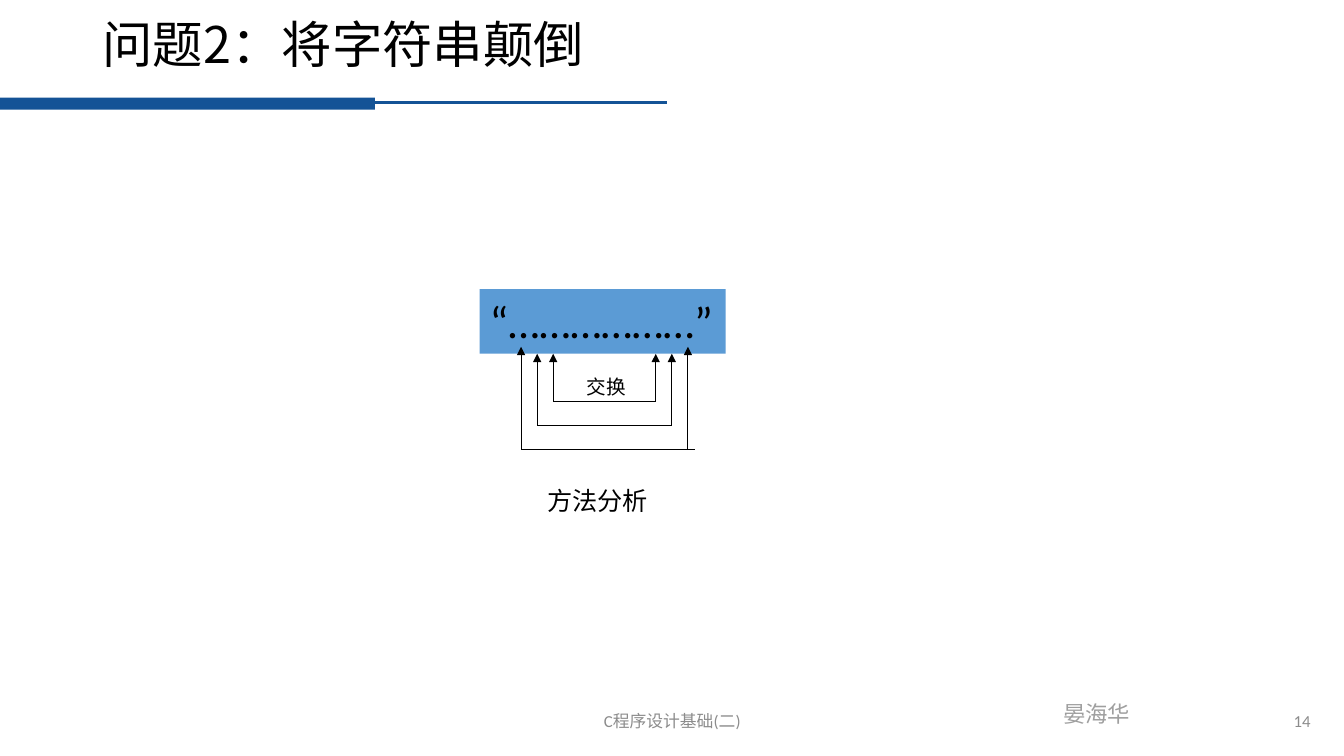
from pptx import Presentation
from pptx.dml.color import RGBColor
from pptx.enum.shapes import MSO_CONNECTOR, MSO_SHAPE
from pptx.enum.text import MSO_ANCHOR, PP_ALIGN
from pptx.oxml.ns import qn
from pptx.util import Pt
from lxml import etree

BLACK = RGBColor(0x00, 0x00, 0x00)
NAVY = RGBColor(0x14, 0x53, 0x96)
SKY = RGBColor(0x5B, 0x9B, 0xD5)
GRAY = RGBColor(0x8C, 0x8C, 0x8C)
LIGHT_GRAY = RGBColor(0x9F, 0x9F, 0x9F)
LEFT, CENTER, RIGHT = PP_ALIGN.LEFT, PP_ALIGN.CENTER, PP_ALIGN.RIGHT
TOP, MIDDLE = MSO_ANCHOR.TOP, MSO_ANCHOR.MIDDLE
RECTANGLE, STRAIGHT = MSO_SHAPE.RECTANGLE, MSO_CONNECTOR.STRAIGHT

# Content: text, box (left, top, width, height), size, colour, alignment, anchor, wrap
TITLE = ("问题2：将字符串颠倒", (66.2, 12.2, 828, 43.2), 36, BLACK, LEFT, MIDDLE, True)
STRING = ("“………………”", (342.7, 206.6, 175.7, 46.1), 32, BLACK, LEFT, TOP, False)
LABELS = [
    ("晏海华", (752.4, 496.8, 63.4, 26.6), 16, LIGHT_GRAY, LEFT, TOP, False),
    ("C程序设计基础(二)", (318.2, 500.4, 324, 28.8), 12, GRAY, CENTER, MIDDLE, True),
    ("14", (727.2, 500.4, 216, 28.8), 12, GRAY, RIGHT, MIDDLE, True),
    ("方法分析", (383.8, 343.4, 108, 31), 18, BLACK, LEFT, TOP, True),
    ("交换", (411.8, 264.2, 42.5, 23.8), 14, BLACK, LEFT, TOP, False),
]
TITLE_BAR = (0, 69.8, 267.8, 8.6)
TITLE_RULE = (265, 73.4, 476.6, 73.4)

# Swap brackets, outermost first: height of the arrow tips, overhang of the base line
BRACKETS = [(247.7, 5.4), (252.7, 0), (252.7, 0)]
OUTER_LEFT, OUTER_RIGHT, OUTER_BASE = 372.2, 491.4, 321.1
STEP_X, STEP_Y = 11.5, 17


def write(shape, text, size, color, align, anchor, wrap, font_name="Calibri"):
    frame = shape.text_frame
    frame.word_wrap = wrap
    frame.vertical_anchor = anchor
    paragraph = frame.paragraphs[0]
    paragraph.text = text
    paragraph.alignment = align
    font = paragraph.runs[0].font
    for name, value in {"name": font_name, "size": Pt(size)}.items():
        setattr(font, name, value)
    font.color.rgb = color
    return paragraph


def add_text(slide, text, box, *style):
    shape = slide.shapes.add_textbox(*map(Pt, box))
    return write(shape, text, *style)


def add_rectangle(slide, box, color):
    shape = slide.shapes.add_shape(RECTANGLE, *map(Pt, box))
    shape.shadow.inherit = False
    shape.fill.solid()
    shape.fill.fore_color.rgb = color
    shape.line.fill.background()
    return shape


def add_line(slide, ends, color=BLACK, width=0.75, arrow=False):
    connector = slide.shapes.add_connector(STRAIGHT, *map(Pt, ends))
    connector.line.color.rgb = color
    connector.line.width = Pt(width)
    if arrow:
        line = connector.line._get_or_add_ln()
        etree.SubElement(line, qn("a:tailEnd"), type="triangle")
    etree.SubElement(connector._element.spPr, qn("a:effectLst"))


def main():
    presentation = Presentation()
    presentation.slide_width, presentation.slide_height = Pt(960), Pt(540)
    slide = presentation.slides.add_slide(presentation.slide_layouts[6])

    # Title with its bar and rule
    add_rectangle(slide, TITLE_BAR, NAVY)
    add_line(slide, TITLE_RULE, NAVY, 2.25)
    add_text(slide, *TITLE, "Noto Sans CJK SC").line_spacing = 0.9

    # String to be reversed
    text, box, *style = STRING
    write(add_rectangle(slide, box, SKY), text, *style)

    # Nested brackets joining the characters to swap
    for index, (tip, overhang) in enumerate(BRACKETS):
        left = OUTER_LEFT + index * STEP_X
        right = OUTER_RIGHT - index * STEP_X
        base = OUTER_BASE - index * STEP_Y
        for x in (left, right):
            add_line(slide, (x, base, x, tip), arrow=True)
        add_line(slide, (left, base, right + overhang, base))

    # Captions and footer
    for label in LABELS:
        add_text(slide, *label)

    presentation.save("out.pptx")


if __name__ == "__main__":
    main()
